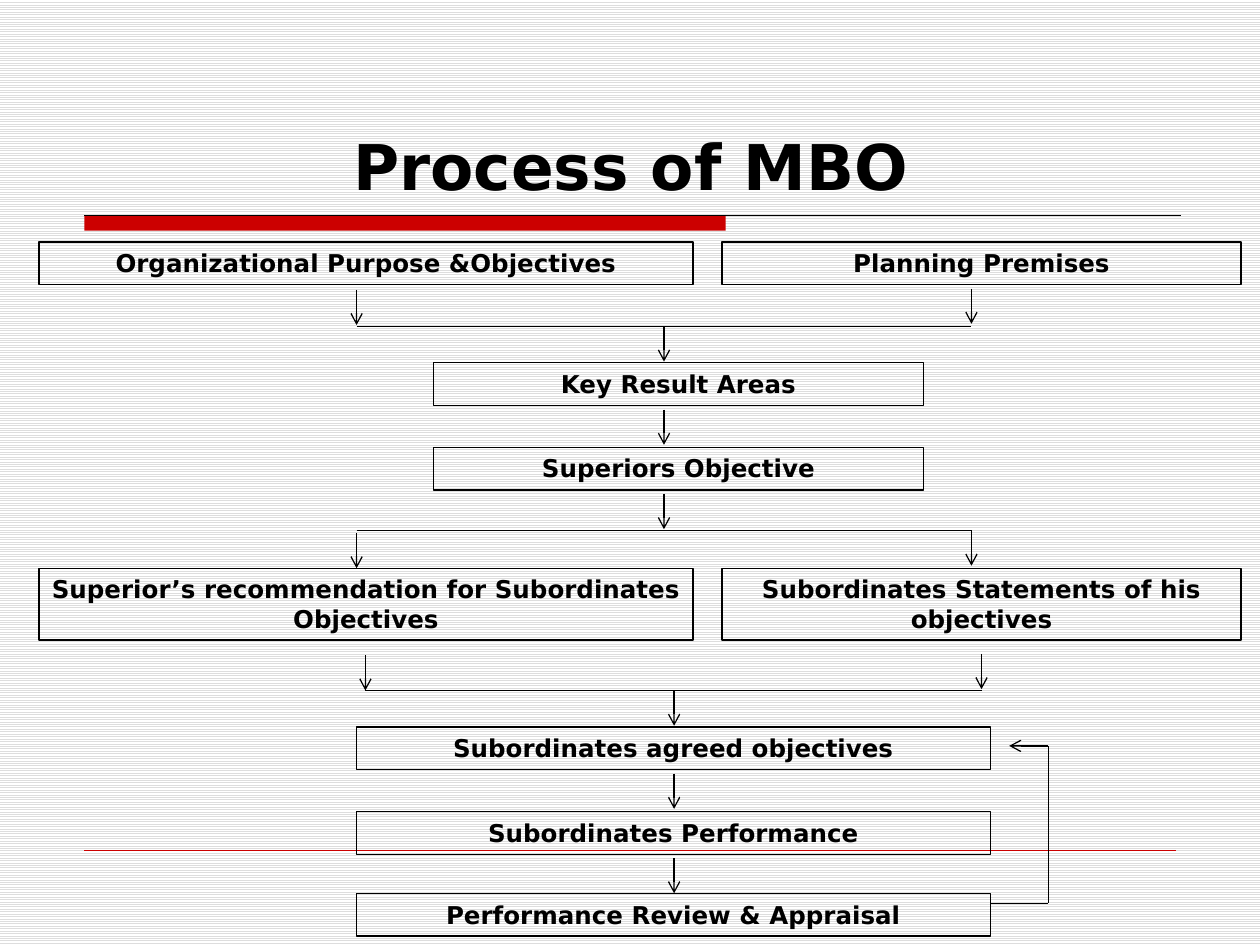
from lxml import etree
from pptx import Presentation
from pptx.dml.color import RGBColor
from pptx.enum.dml import MSO_PATTERN
from pptx.enum.shapes import MSO_CONNECTOR, MSO_SHAPE
from pptx.enum.text import MSO_ANCHOR, PP_ALIGN
from pptx.oxml.ns import qn
from pptx.util import Inches, Pt

STRAIGHT = MSO_CONNECTOR.STRAIGHT
RECTANGLE = MSO_SHAPE.RECTANGLE
LIGHT_HORIZONTAL = MSO_PATTERN.LIGHT_HORIZONTAL
CENTER = PP_ALIGN.CENTER
TOP, BOTTOM = MSO_ANCHOR.TOP, MSO_ANCHOR.BOTTOM

BLACK = RGBColor(0x00, 0x00, 0x00)
WHITE = RGBColor(0xFF, 0xFF, 0xFF)
GRAY = RGBColor(0xDD, 0xDD, 0xDD)
RED = RGBColor(0xCC, 0x00, 0x00)
FONT = "DejaVu Sans"

TITLE = "Process of MBO"
COLUMNS = {
    "left": (0.31, 5.19),
    "right": (5.73, 4.12),
    "middle": (3.44, 3.89),
    "lower": (2.83, 5.03),
}
ONE_LINE, TWO_LINES = 0.34, 0.57
STEPS = [
    ("Organizational Purpose &Objectives", "left", 1.92, ONE_LINE),
    ("Planning Premises", "right", 1.92, ONE_LINE),
    ("Key Result Areas", "middle", 2.88, ONE_LINE),
    ("Superiors Objective", "middle", 3.55, ONE_LINE),
    ("Superior’s recommendation for Subordinates Objectives", "left", 4.51, TWO_LINES),
    ("Subordinates Statements of his objectives", "right", 4.51, TWO_LINES),
    ("Subordinates agreed objectives", "lower", 5.77, ONE_LINE),
    ("Subordinates Performance", "lower", 6.44, ONE_LINE),
    ("Performance Review & Appraisal", "lower", 7.09, ONE_LINE),
]

ARROW_LENGTH = 0.28
UPPER_LEFT, UPPER_CENTER, UPPER_RIGHT = 2.83, 5.27, 7.71
LOWER_LEFT, LOWER_CENTER, LOWER_RIGHT = 2.9, 5.35, 7.79
DOWN_ARROWS = [
    (UPPER_LEFT, 2.3), (UPPER_RIGHT, 2.29), (UPPER_CENTER, 2.59),
    (UPPER_CENTER, 3.25), (UPPER_CENTER, 3.92),
    (UPPER_LEFT, 4.23), (UPPER_RIGHT, 4.21),
    (LOWER_LEFT, 5.2), (LOWER_RIGHT, 5.19), (LOWER_CENTER, 5.48),
    (LOWER_CENTER, 6.14), (LOWER_CENTER, 6.81),
]
JUNCTIONS = [
    (UPPER_LEFT, UPPER_RIGHT, 2.59),
    (UPPER_LEFT, UPPER_RIGHT, 4.21),
    (LOWER_LEFT, LOWER_RIGHT, 5.48),
]
FEEDBACK_X, FEEDBACK_TOP, FEEDBACK_BOTTOM = 8.32, 5.92, 7.17


def add_line(slide, start, end, color=BLACK, width=0.75, arrow=False):
    points = [Inches(value) for value in (*start, *end)]
    connector = slide.shapes.add_connector(STRAIGHT, *points)
    connector.line.color.rgb = color
    connector.line.width = Pt(width)
    if arrow:
        tail = etree.SubElement(connector.line._get_or_add_ln(), qn("a:tailEnd"))
        tail.set("type", "arrow")
    etree.SubElement(connector._element.spPr, qn("a:effectLst"))


def set_text(shape, text, size, anchor, side_margin=0.1):
    frame = shape.text_frame
    frame.word_wrap = True
    frame.vertical_anchor = anchor
    frame.margin_left = frame.margin_right = Inches(side_margin)
    paragraph = frame.paragraphs[0]
    paragraph.text = text
    paragraph.alignment = CENTER
    font = paragraph.font
    font.name, font.size, font.bold = FONT, Pt(size), True
    font.color.rgb = BLACK


def add_rectangle(slide, left, top, width, height):
    box = [Inches(value) for value in (left, top, width, height)]
    shape = slide.shapes.add_shape(RECTANGLE, *box)
    shape.shadow.inherit = False
    return shape


def add_step(slide, text, column, top, height):
    left, width = COLUMNS[column]
    shape = add_rectangle(slide, left, top, width, height)
    shape.fill.background()
    shape.line.color.rgb = BLACK
    shape.line.width = Pt(0.75)
    set_text(shape, text, 14, TOP, 0.08)


def add_frame(slide):
    fill = slide.background.fill
    fill.patterned()
    fill.pattern = LIGHT_HORIZONTAL
    fill.fore_color.rgb = GRAY
    fill.back_color.rgb = WHITE
    bar = add_rectangle(slide, 0.67, 1.71, 5.09, 0.12)
    bar.fill.solid()
    bar.fill.fore_color.rgb = RED
    bar.line.fill.background()
    add_line(slide, (0.67, 1.71), (9.37, 1.71))
    add_line(slide, (0.67, 6.75), (9.33, 6.75), RED, 0.25)
    title = slide.shapes.add_textbox(Inches(0.63), Inches(0.33), Inches(8.75), Inches(1.33))
    set_text(title, TITLE, 36, BOTTOM)


def main():
    presentation = Presentation()
    presentation.slide_width, presentation.slide_height = Inches(10), Inches(7.5)
    slide = presentation.slides.add_slide(presentation.slide_layouts[6])
    add_frame(slide)
    for step in STEPS:
        add_step(slide, *step)
    for left, right, y in JUNCTIONS:
        add_line(slide, (left, y), (right, y))
    for x, top in DOWN_ARROWS:
        add_line(slide, (x, top), (x, top + ARROW_LENGTH), arrow=True)
    lower_left, lower_width = COLUMNS["lower"]
    lower_edge = lower_left + lower_width
    add_line(slide, (lower_edge, FEEDBACK_BOTTOM), (FEEDBACK_X, FEEDBACK_BOTTOM))
    add_line(slide, (FEEDBACK_X, FEEDBACK_TOP), (FEEDBACK_X, FEEDBACK_BOTTOM))
    add_line(slide, (FEEDBACK_X, FEEDBACK_TOP), (8.01, FEEDBACK_TOP), arrow=True)
    presentation.save("out.pptx")


if __name__ == "__main__":
    main()
